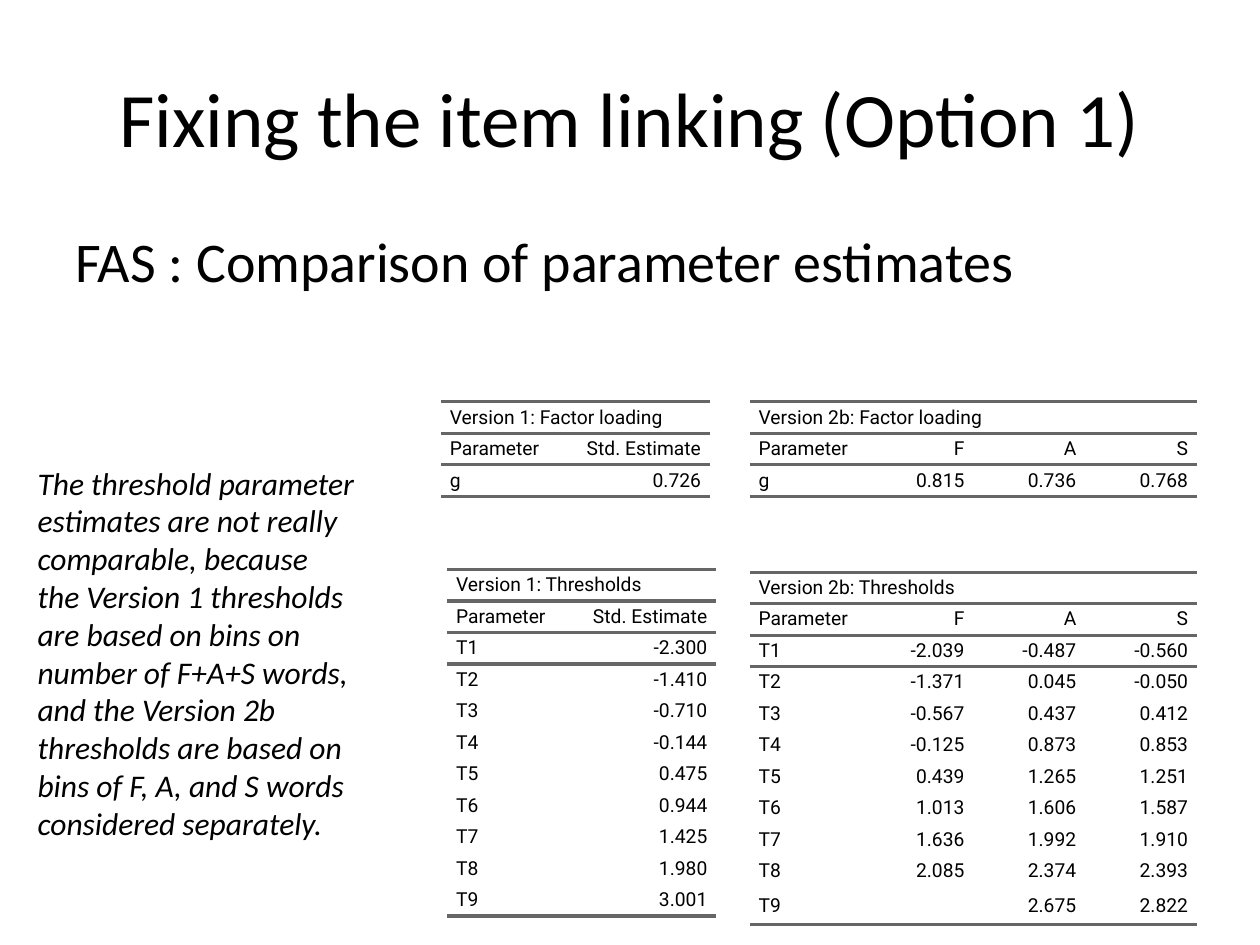
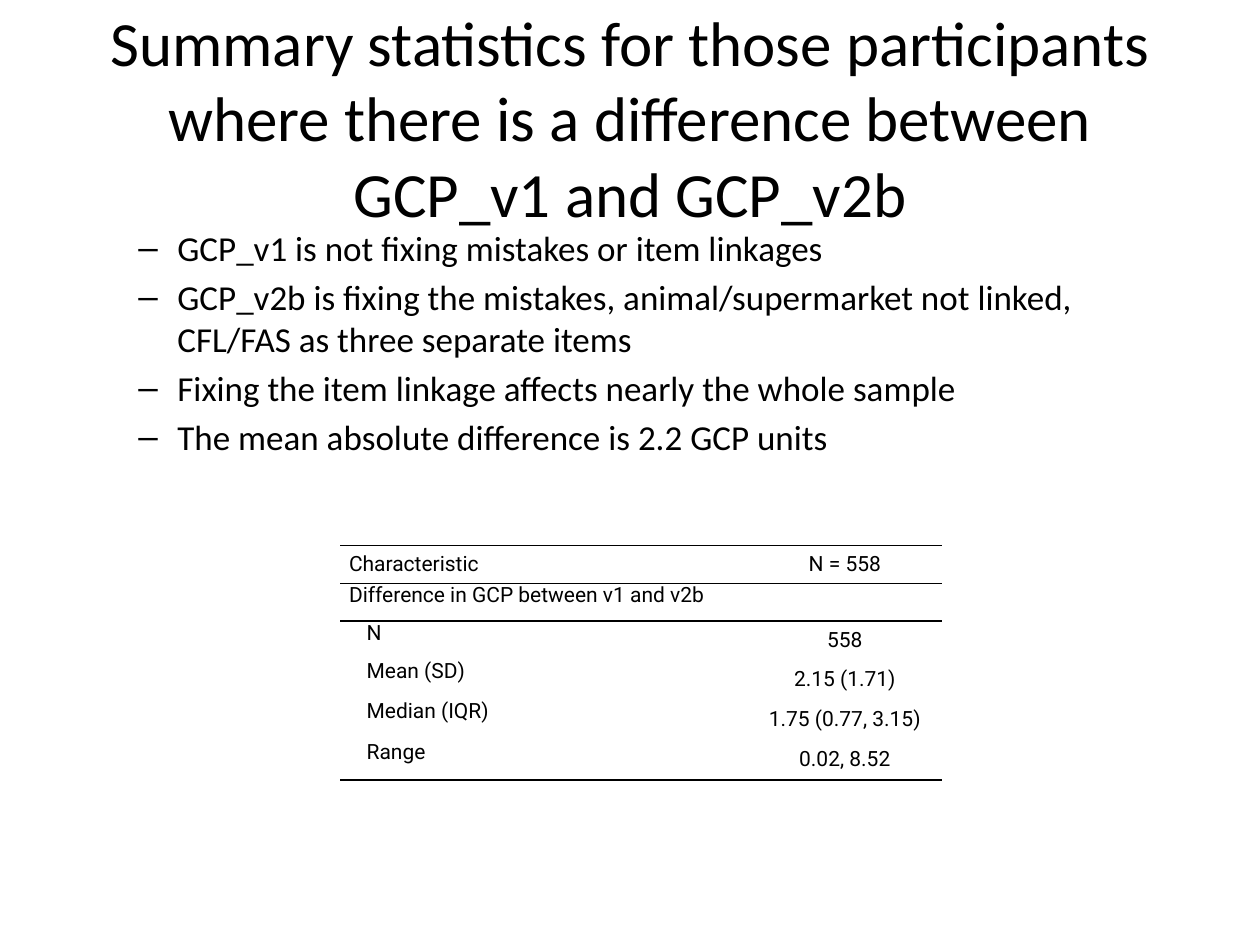
from dataclasses import dataclass

from lxml.etree import SubElement
from pptx import Presentation
from pptx.dml.color import RGBColor
from pptx.enum.text import MSO_ANCHOR, MSO_AUTO_SIZE, PP_ALIGN
from pptx.oxml.ns import qn
from pptx.util import Emu, Inches, Pt

COLS, ROWS = 200, 150  # page grid; one square is 0.05 inch
SLIDE_W, SLIDE_H = Inches(10), Inches(7.5)
BLACK, GREY = "000000", "666666"
BODY_FONT, TABLE_FONT = "Calibri", "Roboto"
NO_STYLE = "{2D5ABB26-0587-4C30-8999-92F81FD0307C}"
LEFT, CENTER, RIGHT = PP_ALIGN.LEFT, PP_ALIGN.CENTER, PP_ALIGN.RIGHT
CELL_INDENT, SUB_INDENT = Inches(0.07), Inches(0.21)


@dataclass
class Box:
    """A place on the page grid, in columns and rows."""
    left: float
    top: float
    width: float
    height: float

    def emu(self) -> list[Emu]:
        """Return left, top, width and height as lengths."""
        return [Emu(round(n * full / count)) for n, full, count in (
            (self.left, SLIDE_W, COLS), (self.top, SLIDE_H, ROWS),
            (self.width, SLIDE_W, COLS), (self.height, SLIDE_H, ROWS))]


@dataclass
class TableStyle:
    """The look of a ruled table."""
    size: float
    line: str
    line_width: float
    value_align: PP_ALIGN
    header_rows: int
    header_space: float = 5
    label_anchor: MSO_ANCHOR = MSO_ANCHOR.MIDDLE
    sub_from: int = 99  # first row whose label is indented


@dataclass
class Table:
    """A table: its corner, column widths and row heights on the grid."""
    left: float
    top: float
    widths: list[float]
    heights: list[float]
    rows: list[list[str]]
    style: TableStyle


TITLE_BOX = Box(10, 6, 180, 25)
ESTIMATES = TableStyle(11, GREY, 2, RIGHT, header_rows=2)
SUMMARY = TableStyle(12, BLACK, 1, CENTER, header_rows=1, header_space=2,
                     label_anchor=MSO_ANCHOR.TOP, sub_from=2)


def color(value: str) -> RGBColor:
    """Turn a hex string into a colour."""
    return RGBColor.from_string(value)


def assign(obj: object, values: dict) -> None:
    """Set each named attribute of an object."""
    for name, value in values.items():
        setattr(obj, name, value)


def write(p, text: str, size: float, font: str = BODY_FONT,
          italic: bool = False) -> None:
    """Add one formatted run to a paragraph."""
    r = p.add_run()
    r.text = text
    assign(r.font, {"size": Pt(size), "name": font, "italic": italic})
    r.font.color.rgb = color(BLACK)


def add_titled_slide(prs, title: str, size: float):
    """Add a title-only slide with its title placed and formatted."""
    slide = prs.slides.add_slide(prs.slide_layouts[5])
    sp = slide.shapes.title
    assign(sp, dict(zip(("left", "top", "width", "height"), TITLE_BOX.emu())))
    assign(sp.text_frame, {"word_wrap": True, "auto_size": MSO_AUTO_SIZE.NONE,
                           "vertical_anchor": MSO_ANCHOR.MIDDLE})
    p = sp.text_frame.paragraphs[0]
    p.alignment = CENTER
    write(p, title, size)
    return slide


def add_text(slide, box: Box, lines: list[str], size: float, space: float = 0,
             italic: bool = False, dashed: bool = False) -> None:
    """Add a wrapped text box, with dash bullets if asked."""
    tf = slide.shapes.add_textbox(*box.emu()).text_frame
    tf.word_wrap = True
    for i, line in enumerate(lines):
        p = tf.add_paragraph() if i else tf.paragraphs[0]
        p.space_before = Pt(space)
        write(p, line, size, italic=italic)
        if dashed:
            pPr = p._p.get_or_add_pPr()
            pPr.set("marL", str(Inches(0.81)))
            pPr.set("indent", str(Inches(-0.31)))
            SubElement(pPr, qn("a:buFont")).set("typeface", "Arial")
            SubElement(pPr, qn("a:buChar")).set("char", "–")


def rule(cell, sides: list[str], style: TableStyle) -> None:
    """Draw the given borders of a cell, such as lnT and lnB."""
    tcPr = cell._tc.get_or_add_tcPr()
    for side in sides:
        ln = SubElement(tcPr, qn(f"a:{side}"), w=str(Pt(style.line_width)))
        fill = SubElement(ln, qn("a:solidFill"))
        SubElement(fill, qn("a:srgbClr")).set("val", style.line)


def fill_cell(cell, text: str, row: int, col: int, last: int,
              style: TableStyle) -> None:
    """Write and format one cell by its place in the table."""
    header = row < style.header_rows
    anchor = MSO_ANCHOR.MIDDLE if header or col else style.label_anchor
    assign(cell, {"margin_left": 0, "margin_right": 0, "margin_top": 0,
                  "margin_bottom": 0, "vertical_anchor": anchor})
    space = Pt(style.header_space if header else 5)
    p = cell.text_frame.paragraphs[0]
    assign(p, {"alignment": style.value_align if col else LEFT,
               "space_before": space, "space_after": space})
    pPr = p._p.get_or_add_pPr()
    sub = not col and row >= style.sub_from
    pPr.set("marL", str(SUB_INDENT if sub else CELL_INDENT))
    pPr.set("marR", str(CELL_INDENT))
    pPr.set("indent", "0")
    write(p, text, style.size, TABLE_FONT)
    sides = ["lnT"] if row <= style.header_rows else []
    if header or row == last:
        sides.append("lnB")
    rule(cell, sides, style)
    cell.fill.background()


def add_ruled_table(slide, t: Table) -> None:
    """Add a table; a row with a single text spans all columns."""
    box = Box(t.left, t.top, sum(t.widths), sum(t.heights))
    table = slide.shapes.add_table(len(t.rows), len(t.widths),
                                   *box.emu()).table
    assign(table, {"first_row": False, "horz_banding": False})
    table._tbl.tblPr.find(qn("a:tableStyleId")).text = NO_STYLE
    for column, width in zip(table.columns, t.widths):
        column.width = Emu(round(width * SLIDE_W / COLS))
    for row, height in zip(table.rows, t.heights):
        row.height = Emu(round(height * SLIDE_H / ROWS))
    for i, texts in enumerate(t.rows):
        padded = texts + [""] * (len(t.widths) - len(texts))
        for j, text in enumerate(padded):
            fill_cell(table.cell(i, j), text, i, j, len(t.rows) - 1, t.style)
        if len(texts) == 1:
            table.cell(i, 0).merge(table.cell(i, len(t.widths) - 1))


def estimates(left: float, top: float, widths: list[float], caption: str,
              names: list[str], values: list[list[str]],
              last_height: float = 5) -> Table:
    """Describe a table of parameter estimates under a spanning caption."""
    rows = [[caption], ["Parameter"] + names] + values
    heights = [5.0] * (len(rows) - 1) + [last_height]
    return Table(left, top, widths, heights, rows, ESTIMATES)


def thresholds(text: str) -> list[list[str]]:
    """Number the semicolon-separated rows of values T1, T2 and so on."""
    return [[f"T{n}"] + [v.strip() for v in row.split(",")]
            for n, row in enumerate(text.split(";"), 1)]


V1_COLS, V2_COLS = [21.35] * 2, [17.75] * 4
V1_NAMES, V2_NAMES = ["Std. Estimate"], ["F", "A", "S"]
V1_THRESHOLDS = thresholds(
    "-2.300; -1.410; -0.710; -0.144; 0.475; 0.944; 1.425; 1.980; 3.001")
V2_THRESHOLDS = thresholds(
    "-2.039, -0.487, -0.560; -1.371, 0.045, -0.050; -0.567, 0.437, 0.412;"
    "-0.125, 0.873, 0.853; 0.439, 1.265, 1.251; 1.013, 1.606, 1.587;"
    "1.636, 1.992, 1.910; 2.085, 2.374, 2.393; , 2.675, 2.822")
ESTIMATE_TABLES = [
    estimates(70, 63.8, V1_COLS, "Version 1: Factor loading", V1_NAMES,
              [["g", "0.726"]]),
    estimates(71, 90.4, V1_COLS, "Version 1: Thresholds", V1_NAMES,
              V1_THRESHOLDS),
    estimates(119, 63.8, V2_COLS, "Version 2b: Factor loading", V2_NAMES,
              [["g", "0.815", "0.736", "0.768"]]),
    estimates(119, 90.8, V2_COLS, "Version 2b: Thresholds", V2_NAMES,
              V2_THRESHOLDS, last_height=5.6),
]
SUMMARY_TABLE = Table(54, 86.6, [64.6, 31], [6, 6, 6, 6.4, 6.4, 6.4], [
    ["Characteristic", "N = 558"],
    ["Difference in GCP between v1 and v2b", ""],
    ["N", "558"],
    ["Mean (SD)", "2.15 (1.71)"],
    ["Median (IQR)", "1.75 (0.77, 3.15)"],
    ["Range", "0.02, 8.52"],
], SUMMARY)


def build_comparison(prs) -> None:
    """Build the slide that compares the parameter estimates."""
    slide = add_titled_slide(prs, "Fixing the item linking (Option 1)", 44)
    add_text(slide, Box(10, 35, 180, 16),
             ["FAS : Comparison of parameter estimates"], 32, space=6.4)
    for table in ESTIMATE_TABLES:
        add_ruled_table(slide, table)
    add_text(slide, Box(4, 72.6, 54.6, 68.6), [
        "The threshold parameter estimates are not really comparable, because "
        "the Version 1 thresholds are based on bins on number of F+A+S words, "
        "and the Version 2b thresholds are based on bins of F, A, and S words "
        "considered separately."], 18, italic=True)


def build_summary(prs) -> None:
    """Build the slide with the summary statistics."""
    slide = add_titled_slide(
        prs, "Summary statistics for those participants where there is a "
        "difference between GCP_v1 and GCP_v2b", 36)
    add_text(slide, Box(10, 35, 180, 43.4), [
        "GCP_v1 is not fixing mistakes or item linkages",
        "GCP_v2b is fixing the mistakes, animal/supermarket not linked, "
        "CFL/FAS as three separate items",
        "Fixing the item linkage affects nearly the whole sample",
        "The mean absolute difference is 2.2 GCP units",
    ], 20, space=4, dashed=True)
    add_ruled_table(slide, SUMMARY_TABLE)


def main() -> None:
    """Build and save the presentation."""
    prs = Presentation()
    assign(prs, {"slide_width": SLIDE_W, "slide_height": SLIDE_H})
    build_comparison(prs)
    build_summary(prs)
    prs.save("out.pptx")


main()
